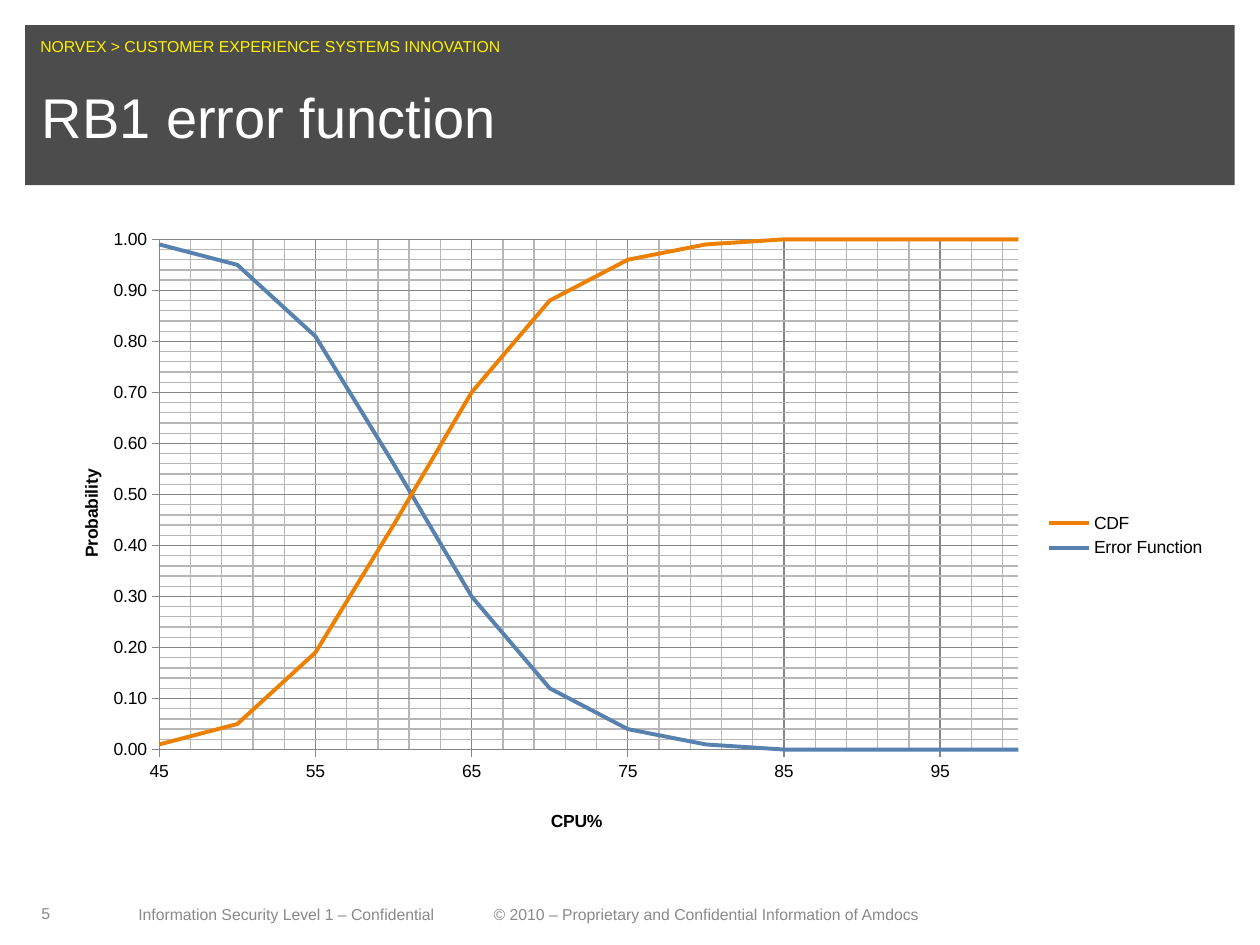
from dataclasses import dataclass

from lxml.etree import SubElement
from pptx import Presentation
from pptx.chart.data import XyChartData
from pptx.dml.color import RGBColor
from pptx.enum.chart import XL_CHART_TYPE, XL_LEGEND_POSITION, XL_TICK_MARK
from pptx.enum.shapes import MSO_SHAPE
from pptx.enum.text import MSO_ANCHOR, PP_ALIGN
from pptx.oxml import parse_xml
from pptx.oxml.ns import nsdecls, qn
from pptx.util import Inches, Pt


@dataclass(frozen=True)
class Theme:
    font: str = "Arial"
    title_size: int = 32
    chart_size: int = 10
    small_size: int = 9
    black: RGBColor = RGBColor(0, 0, 0)
    white: RGBColor = RGBColor(255, 255, 255)
    yellow: RGBColor = RGBColor.from_string("FFF200")
    footer: RGBColor = RGBColor.from_string("898989")
    major_grid: RGBColor = RGBColor.from_string("868686")
    minor_grid: RGBColor = RGBColor.from_string("B7B7B7")
    curves: tuple = (RGBColor.from_string("ED8000"), RGBColor.from_string("5781AE"))


theme = Theme()
deck = Presentation()
deck.slide_width, deck.slide_height = Inches(10), Inches(7.5)
slide = deck.slides.add_slide(deck.slide_layouts[5])

# Grid of 100 columns by 75 rows
COLUMN, ROW = deck.slide_width / 100, deck.slide_height / 75


def cells(left, top, width, height):
    return [round(n * unit) for n, unit in
            zip((left, top, width, height), (COLUMN, ROW, COLUMN, ROW))]


def set_layout(parent, **shares):
    """Place a chart part by shares of the chart's size."""
    old = parent.find(qn("c:layout"))
    if old is not None:
        parent.remove(old)
    target = '<c:layoutTarget val="inner"/>' if "w" in shares else ""
    modes = "".join(f'<c:{side}Mode val="edge"/>' for side in "xy")
    values = "".join(f'<c:{key} val="{share}"/>' for key, share in shares.items())
    layout = parse_xml(f'<c:layout {nsdecls("c")}><c:manualLayout>{target}{modes}{values}'
                       '</c:manualLayout></c:layout>')
    text = parent.find(qn("c:tx"))
    parent.insert(0 if text is None else 1, layout)


# Header band, behind the title
band = slide.shapes.add_shape(MSO_SHAPE.RECTANGLE, *cells(2, 2, 96, 12.7))
band.shadow.inherit = False
band.line.fill.background()
band.fill.solid()
band.fill.fore_color.rgb = theme.black
band_color = band.fill._xPr.find(qn("a:solidFill"))[0]
SubElement(band_color, qn("a:alpha"), val="70000")

# Title
title = slide.shapes.title
slide.shapes._spTree.append(title._element)
title.left, title.top, title.width, title.height = cells(3.3, 5.1, 93.4, 8.9)
title_frame = title.text_frame
title_frame.margin_left = title_frame.margin_right = 0
title_frame.margin_top = title_frame.margin_bottom = 0
title_frame.vertical_anchor = MSO_ANCHOR.MIDDLE
heading = title_frame.paragraphs[0]
heading.alignment, heading.line_spacing = PP_ALIGN.LEFT, 0.9
heading_run = heading.add_run()
heading_run.text = "RB1 error function"
heading_run.font.name, heading_run.font.size = theme.font, Pt(theme.title_size)
heading_run.font.color.rgb = theme.white

# Strapline, page number and footer
FOOTER_TEXT = ("Information Security Level 1 – Confidential\t"
               "© 2010 – Proprietary and Confidential Information of Amdocs")
small_texts = [
    ("NORVEX > CUSTOMER EXPERIENCE SYSTEMS INNOVATION", (3.2, 2.9, 93, 1.5), theme.yellow, 0, 0),
    ("5", (2.3, 71.2, 6.5, 2.5), theme.footer, 0.1, 0.05),
    (FOOTER_TEXT, (10, 71.3, 64.6, 2.5), theme.footer, 0.1, 0.05),
]
for words, place, color, side, edge in small_texts:
    box = slide.shapes.add_textbox(*cells(*place))
    frame = box.text_frame
    frame.word_wrap = words != FOOTER_TEXT
    frame.margin_left = frame.margin_right = Inches(side)
    frame.margin_top = frame.margin_bottom = Inches(edge)
    line = frame.paragraphs[0]
    if "\t" in words:
        frame.vertical_anchor = MSO_ANCHOR.BOTTOM
        tabs = SubElement(line._p.get_or_add_pPr(), qn("a:tabLst"))
        SubElement(tabs, qn("a:tab"), pos=str(Inches(2.82)), algn="l")
    run = line.add_run()
    run.text = words
    run.font.name, run.font.size = theme.font, Pt(theme.small_size)
    run.font.color.rgb = color

# Probability curves: the error function is the complement of the CDF
cpu_loads = range(45, 101, 5)
cdf = [0.01, 0.05, 0.19, 0.44, 0.7, 0.88, 0.96, 0.99, 1, 1, 1, 1]
error = [round(1 - share, 2) for share in cdf]
curve_data = XyChartData()
for name, shares in (("CDF", cdf), ("Error Function", error)):
    curve = curve_data.add_series(name)
    for load, share in zip(cpu_loads, shares):
        curve.add_data_point(load, share)

chart = slide.shapes.add_chart(XL_CHART_TYPE.XY_SCATTER_SMOOTH_NO_MARKERS,
                               *cells(3.3, 17.5, 93.4, 50), curve_data).chart
chart.has_title = False
chart.font.name, chart.font.size = theme.font, Pt(theme.chart_size)
chart.font.color.rgb = theme.black
chart.plots[0].vary_by_categories = False
for curve, color in zip(chart.plots[0].series, theme.curves):
    curve.smooth = True
    curve.format.line.width = Pt(2.25)
    curve.format.line.color.rgb = color

# Legend
chart.has_legend = True
chart.legend.position = XL_LEGEND_POSITION.RIGHT
chart.legend.include_in_layout = False

# Axes: title, range, steps, number format and title position
axes = [
    (chart.category_axis, "CPU%", 45, 100, 10, 2, "0", (0.43, 0.93)),
    (chart.value_axis, "Probability", 0, 1, 0.1, 0.02, "0.00", (0.03, 0.39)),
]
for axis, name, low, high, step, fine_step, digits, (x, y) in axes:
    axis.minimum_scale, axis.maximum_scale = low, high
    axis.major_unit, axis.minor_unit = step, fine_step
    axis.major_tick_mark, axis.minor_tick_mark = XL_TICK_MARK.OUTSIDE, XL_TICK_MARK.NONE
    axis.tick_labels.number_format = digits
    axis.tick_labels.number_format_is_linked = False
    axis.has_major_gridlines = axis.has_minor_gridlines = True
    for rule in (axis.major_gridlines, axis):
        rule.format.line.width = Pt(0.75)
        rule.format.line.color.rgb = theme.major_grid
    # Minor gridlines can only be formatted in XML
    axis._element.find(qn("c:minorGridlines")).append(parse_xml(
        f'<c:spPr {nsdecls("c", "a")}><a:ln w="{Pt(0.75)}"><a:solidFill>'
        f'<a:srgbClr val="{theme.minor_grid}"/></a:solidFill></a:ln></c:spPr>'))
    label = axis.axis_title.text_frame.paragraphs[0].add_run()
    label.text = name
    label.font.name, label.font.size = theme.font, Pt(theme.chart_size)
    label.font.bold = True
    label.font.color.rgb = theme.black
    set_layout(axis.axis_title._element, x=x, y=y)
set_layout(chart._chartSpace.chart.plotArea, x=0.1, y=0.03, w=0.73, h=0.81)

deck.save("out.pptx")
